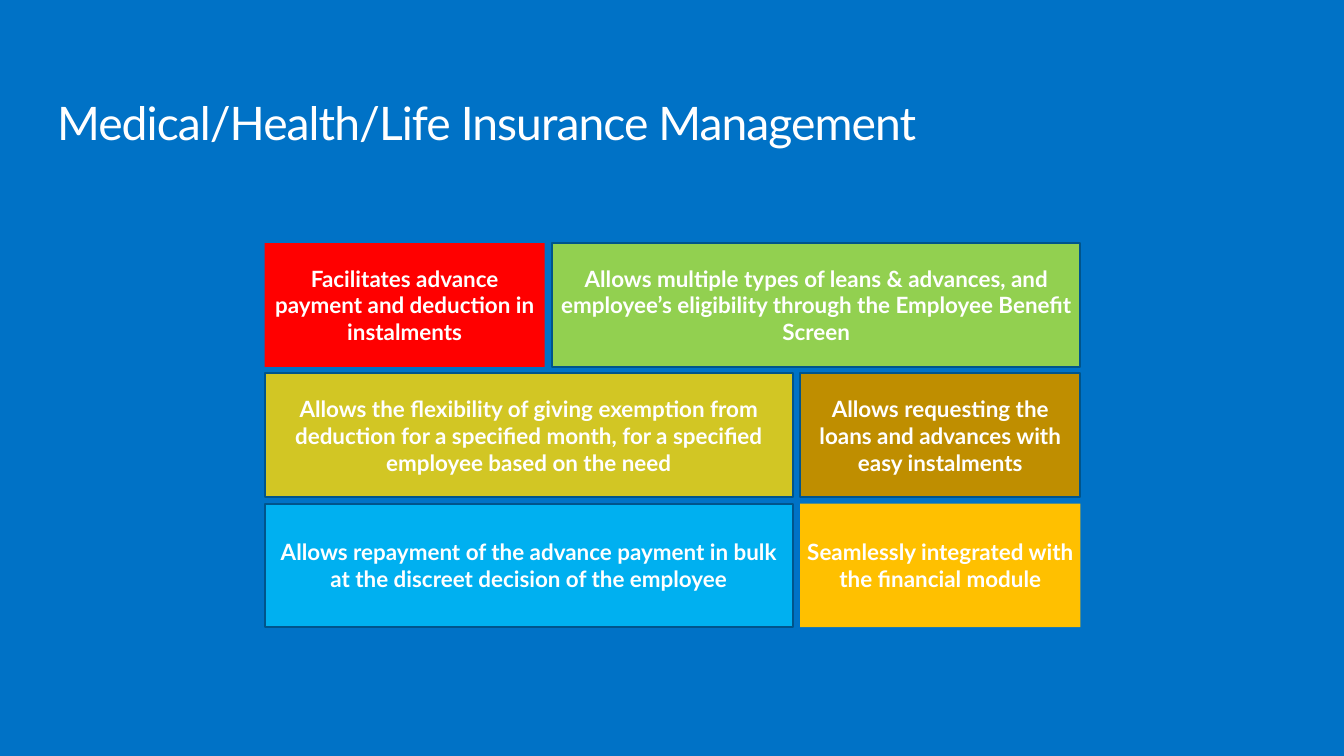
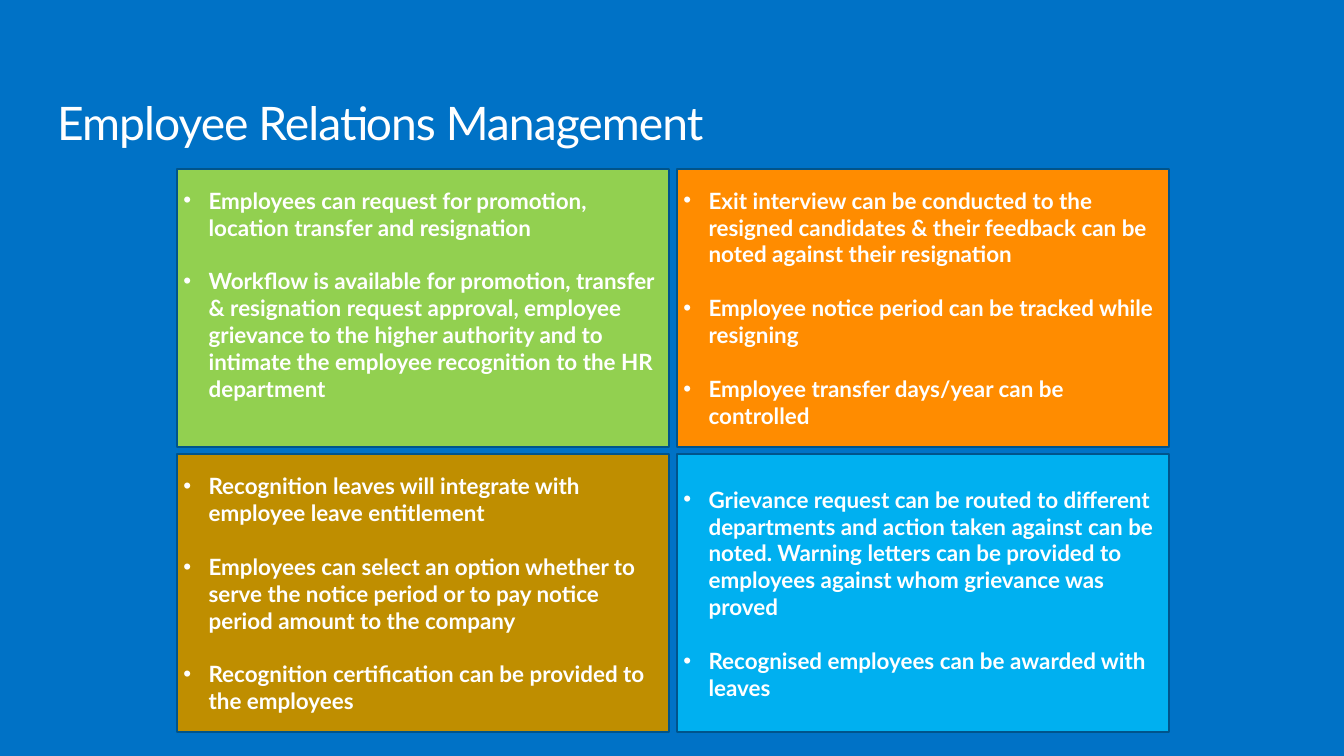
"""Build two HR module slides: insurance management and employee relations."""
from dataclasses import dataclass

from lxml.etree import SubElement
from pptx import Presentation
from pptx.dml.color import RGBColor
from pptx.enum.shapes import MSO_SHAPE as Preset
from pptx.enum.text import MSO_ANCHOR as Anchor, PP_ALIGN as Align
from pptx.oxml.ns import qn
from pptx.util import Pt


@dataclass(frozen=True)
class Theme:
    font: str = "Lato"
    background: str = "0072C6"
    text: str = "FFFFFF"
    border: str = "00548B"
    red: str = "FF0000"
    green: str = "92D050"
    olive: str = "D2C624"
    brown: str = "BF8E00"
    sky: str = "00B0F0"
    amber: str = "FFC000"
    orange: str = "FF8C00"
    title_size: float = 49.5
    body_size: float = 24
    body_line: float = 28.8
    border_width: float = 2


class Deck:
    def __init__(self, theme):
        self.theme = theme
        self.presentation = Presentation()
        self.presentation.slide_width = Pt(1440)
        self.presentation.slide_height = Pt(810)
        self.paint(self.presentation.slide_master.background.fill, theme.background)
        self.slide = None

    def paint(self, fill, color):
        fill.solid()
        fill.fore_color.rgb = RGBColor.from_string(color)

    def add_run(self, paragraph, text, size, bold=False):
        run = paragraph.add_run()
        run.text = text
        run.font.name = self.theme.font
        run.font.size = Pt(size)
        run.font.bold = bold
        run.font.color.rgb = RGBColor.from_string(self.theme.text)
        return run

    def add_slide(self, title):
        layout = self.presentation.slide_layouts.get_by_name("Title Only")
        self.slide = self.presentation.slides.add_slide(layout)
        shape = self.slide.shapes.title
        shape.left, shape.top, shape.width, shape.height = Pt(61.2), Pt(108), Pt(1316.9), Pt(54)
        frame = shape.text_frame
        frame.margin_left = frame.margin_top = frame.margin_right = frame.margin_bottom = 0
        frame.vertical_anchor = Anchor.TOP
        frame.word_wrap = True
        paragraph = frame.paragraphs[0]
        paragraph.alignment = Align.LEFT
        paragraph.line_spacing = 0.9
        run = self.add_run(paragraph, title, self.theme.title_size)
        run.font._element.set("spc", "-100")

    def add_box(self, left, top, width, height, color, bordered=True):
        shape = self.slide.shapes.add_shape(
            Preset.RECTANGLE, Pt(left), Pt(top), Pt(width), Pt(height))
        shape.shadow.inherit = False
        self.paint(shape.fill, color)
        if bordered:
            self.paint(shape.line.fill, self.theme.border)
            shape.line.width = Pt(self.theme.border_width)
        else:
            shape.line.fill.background()
        shape.text_frame.word_wrap = True
        shape.text_frame.vertical_anchor = Anchor.MIDDLE
        return shape.text_frame

    def add_tile(self, left, top, width, height, color, text, bordered=True):
        paragraph = self.add_box(left, top, width, height, color, bordered).paragraphs[0]
        paragraph.alignment = Align.CENTER
        self.add_run(paragraph, text, self.theme.body_size, bold=True)

    def add_bullet_panel(self, left, top, width, height, color, items, bottom_inset=3.6):
        frame = self.add_box(left, top, width, height, color)
        frame.margin_bottom = Pt(bottom_inset)
        for index, item in enumerate(items):
            paragraph = frame.add_paragraph() if index else frame.paragraphs[0]
            properties = paragraph._p.get_or_add_pPr()
            properties.set("marL", str(Pt(27)))
            properties.set("indent", str(Pt(-27)))
            SubElement(properties, qn("a:buFont")).set("typeface", "Arial")
            SubElement(properties, qn("a:buChar")).set("char", "•")
            paragraph.alignment = Align.LEFT
            if index:
                paragraph.space_before = Pt(self.theme.body_line)
            self.add_run(paragraph, item, self.theme.body_size, bold=True)


def add_insurance_slide(deck):
    theme = deck.theme
    deck.add_slide("Medical/Health/Life Insurance Management")
    left, top, height, row_pitch = 283.5, 260.6, 132.5, 139.5
    narrow, wide, gap = 300.2, 565.9, 7.9
    rows = [
        [(narrow, theme.red, False,
          "Facilitates advance payment and deduction in instalments"),
         (wide, theme.green, True,
          "Allows multiple types of leans & advances, and employee’s eligibility "
          "through the Employee Benefit Screen")],
        [(wide, theme.olive, True,
          "Allows the flexibility of giving exemption from deduction for a specified month, "
          "for a specified employee based on the need"),
         (narrow, theme.brown, True,
          "Allows requesting the loans and advances with easy instalments")],
        [(wide, theme.sky, True,
          "Allows repayment of the advance payment in bulk at the discreet decision "
          "of the employee"),
         (narrow, theme.amber, False,
          "Seamlessly integrated with the financial module")],
    ]
    for row, tiles in enumerate(rows):
        tile_left = left
        for width, color, bordered, text in tiles:
            deck.add_tile(tile_left, top + row * row_pitch, width, height, color, text, bordered)
            tile_left += width + gap


def add_relations_slide(deck):
    theme = deck.theme
    deck.add_slide("Employee Relations Management")
    left, top, width, height, gap = 189.4, 180.7, 527.8, 298.1, 7.9
    panels = [
        (theme.green, 3.6 + theme.body_line, [
            "Employees can request for promotion, location transfer and resignation",
            "Workflow is available for promotion, transfer & resignation request approval, "
            "employee grievance to the higher authority and to intimate the employee "
            "recognition to the HR department"]),
        (theme.orange, 3.6, [
            "Exit interview can be conducted to the resigned candidates & their feedback "
            "can be noted against their resignation",
            "Employee notice period can be tracked while resigning",
            "Employee transfer days/year can be controlled"]),
        (theme.brown, 3.6, [
            "Recognition leaves will integrate with employee leave entitlement",
            "Employees can select an option whether to serve the notice period or to pay "
            "notice period amount to the company",
            "Recognition certification can be provided to the employees"]),
        (theme.sky, 3.6, [
            "Grievance request can be routed to different departments and action taken "
            "against can be noted. Warning letters can be provided to employees against "
            "whom grievance was proved",
            "Recognised employees can be awarded with leaves"]),
    ]
    for index, (color, bottom_inset, items) in enumerate(panels):
        row, column = divmod(index, 2)
        deck.add_bullet_panel(left + column * (width + gap), top + row * (height + gap),
                              width, height, color, items, bottom_inset)


def main():
    deck = Deck(Theme())
    add_insurance_slide(deck)
    add_relations_slide(deck)
    deck.presentation.save("out.pptx")


if __name__ == "__main__":
    main()
